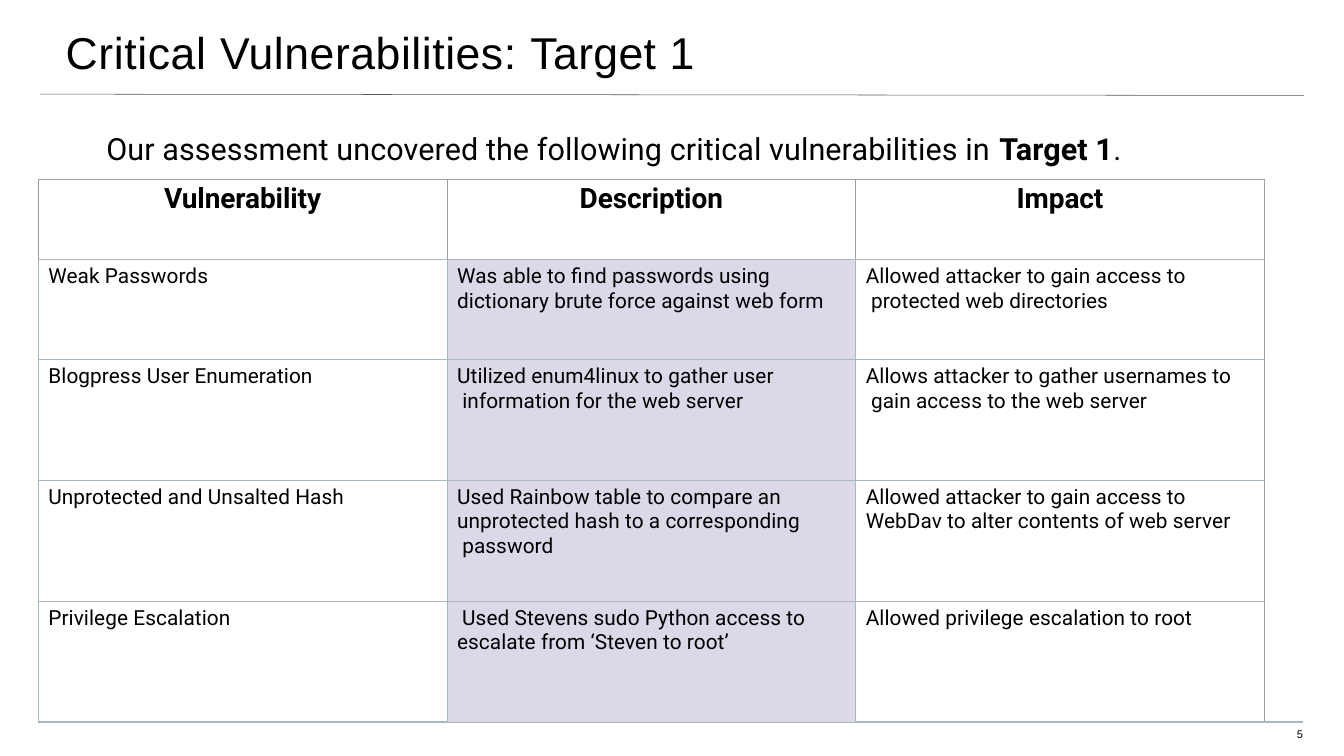
from lxml.etree import SubElement
from pptx import Presentation
from pptx.dml.color import RGBColor
from pptx.enum.shapes import MSO_CONNECTOR as Conn
from pptx.enum.text import MSO_ANCHOR as Anchor, MSO_AUTO_SIZE as Fit, PP_ALIGN as Align
from pptx.oxml.ns import qn
from pptx.util import Pt

PX = 9525
BLACK = RGBColor(0x00, 0x00, 0x00)
RULE = RGBColor(0x58, 0x58, 0x58)
GREY = RGBColor(0x9E, 0x9E, 0x9E)
STEEL = RGBColor(0xA9, 0xB7, 0xC0)
LILAC = RGBColor(0xDB, 0xD9, 0xE8)


def write(par, text, size, font="Roboto", bold=False, track=0.1,
          left=0, before=0, line=None, align=Align.LEFT):
    """Add text to a paragraph; each newline becomes a line break."""
    par.alignment = align
    par.space_before = Pt(before)
    par.line_spacing = line
    props = par._p.get_or_add_pPr()
    props.set("marL", str(left * PX))
    props.set("indent", "0")
    for i, part in enumerate(text.split("\n")):
        if i:
            par.add_line_break()
        run = par.add_run()
        run.text = part
        run.font.size = Pt(size)
        run.font.name = font
        run.font.bold = bold
        run.font.color.rgb = BLACK
        run._r.get_or_add_rPr().set("spc", str(round(track * 100)))


def place(shape, left, top, width, height, inset=2):
    """Set a text shape's box and insets; return its first paragraph."""
    shape.left, shape.top = left * PX, top * PX
    shape.width, shape.height = width * PX, height * PX
    frame = shape.text_frame
    frame.margin_left = frame.margin_right = frame.margin_bottom = 0
    frame.margin_top = inset * PX
    frame.vertical_anchor = Anchor.TOP
    frame.auto_size = Fit.SHAPE_TO_FIT_TEXT
    frame.word_wrap = True
    return frame.paragraphs[0]


prs = Presentation()
prs.slide_width, prs.slide_height = 2111 * PX, 1188 * PX
slide = prs.slides.add_slide(prs.slide_layouts[5])
shapes = slide.shapes

# Heading
title = place(shapes.title, 102, 37, 996, 87)
for text, track in [("Critical ", 0.8), ("Vulnerabilities: ", 0.7),
                    ("Target ", 0.5), ("1", 0.8)]:
    write(title, text, 52.5, font="Arial", track=track, left=1, before=1.2)

rule = shapes.add_connector(Conn.STRAIGHT, 63 * PX, 148 * PX, 2048 * PX, 150 * PX)
rule.line.color.rgb = RULE
rule.line.width = Pt(0.62)
SubElement(rule._element.spPr, qn("a:effectLst"))

intro = place(shapes.add_textbox(0, 0, 0, 0), 166, 203, 1605, 60)
for text, bold in [
    ("Our assessment uncovered the following critical vulnerabilities in ", False),
    ("Target 1", True),
    (".", False),
]:
    write(intro, text, 36, bold=bold, left=1, before=1.3)

# Table of findings, with a narrow empty column at the right.
# A single newline breaks the line, a double one starts a paragraph.
rows = [
    ("Vulnerability", "Description", "Impact"),
    ("Weak Passwords",
     "Was able to find passwords using\ndictionary brute force against web form",
     "Allowed attacker to gain access to\n protected web directories"),
    ("Blogpress User Enumeration",
     "Utilized enum4linux to gather user\n information for the web server",
     "Allows attacker to gather usernames to\n gain access to the web server"),
    ("Unprotected and Unsalted Hash",
     "Used Rainbow table to compare an\nunprotected hash to a corresponding\n password",
     "Allowed attacker to gain access to\nWebDav to alter contents of web server"),
    ("Privilege Escalation",
     "Used Stevens sudo Python access to\n\nescalate from ‘Steven to root’",
     "Allowed privilege escalation to root"),
]
widths = [642, 642, 642, 61]
heights = [127, 157, 190, 190, 190]
last = len(rows) - 1
table = shapes.add_table(len(rows), len(widths), 60 * PX, 281 * PX,
                         sum(widths) * PX, sum(heights) * PX).table
table.first_row = table.horz_banding = False
for col, width in zip(table.columns, widths):
    col.width = width * PX
for row, height in zip(table.rows, heights):
    row.height = height * PX

for r, row in enumerate(rows):
    for c in range(len(widths)):
        cell = table.cell(r, c)
        cell.margin_left = cell.margin_right = cell.margin_bottom = 0
        cell.margin_top = (7 if r else 6) * PX
        cell.vertical_anchor = Anchor.TOP

        side = c == 3
        edge = GREY if r == 0 or side else STEEL
        thick = 3 if r == last and c != 1 or side else 0.75
        borders = {
            "a:lnL": (edge, 0.75),
            "a:lnR": (edge, 0 if side else 0.75),
            "a:lnT": (edge, 0 if side else 0.75),
            "a:lnB": (STEEL, thick),
        }
        for tag, (color, points) in borders.items():
            ln = SubElement(cell._tc.get_or_add_tcPr(), qn(tag), w=str(Pt(points)))
            if points:
                fill = SubElement(ln, qn("a:solidFill"))
                SubElement(fill, qn("a:srgbClr"), val=str(color))
            else:
                SubElement(ln, qn("a:noFill"))

        if c == 1 and r:
            cell.fill.solid()
            cell.fill.fore_color.rgb = LILAC
        else:
            cell.fill.background()
        if side:
            continue

        frame = cell.text_frame
        if r == 0:
            write(frame.paragraphs[0], row[c], 33, bold=True, track=-0.1,
                  before=4.3, align=Align.CENTER)
            continue
        first, *rest = row[c].split("\n\n")
        write(frame.paragraphs[0], first, 24.5, left=24 if rest else 16,
              before=4.8, line=1.01 if "\n" in first else None)
        for text in rest:
            write(frame.add_paragraph(), text, 24.5, left=16, before=0.3)
table.cell(0, 3).merge(table.cell(last, 3))

# Page number
page = place(shapes.add_textbox(0, 0, 0, 0), 2033, 1144, 18, 22, inset=0)
write(page, "5", 13, font="Arial", left=4, line=Pt(15.5))

prs.save("out.pptx")
